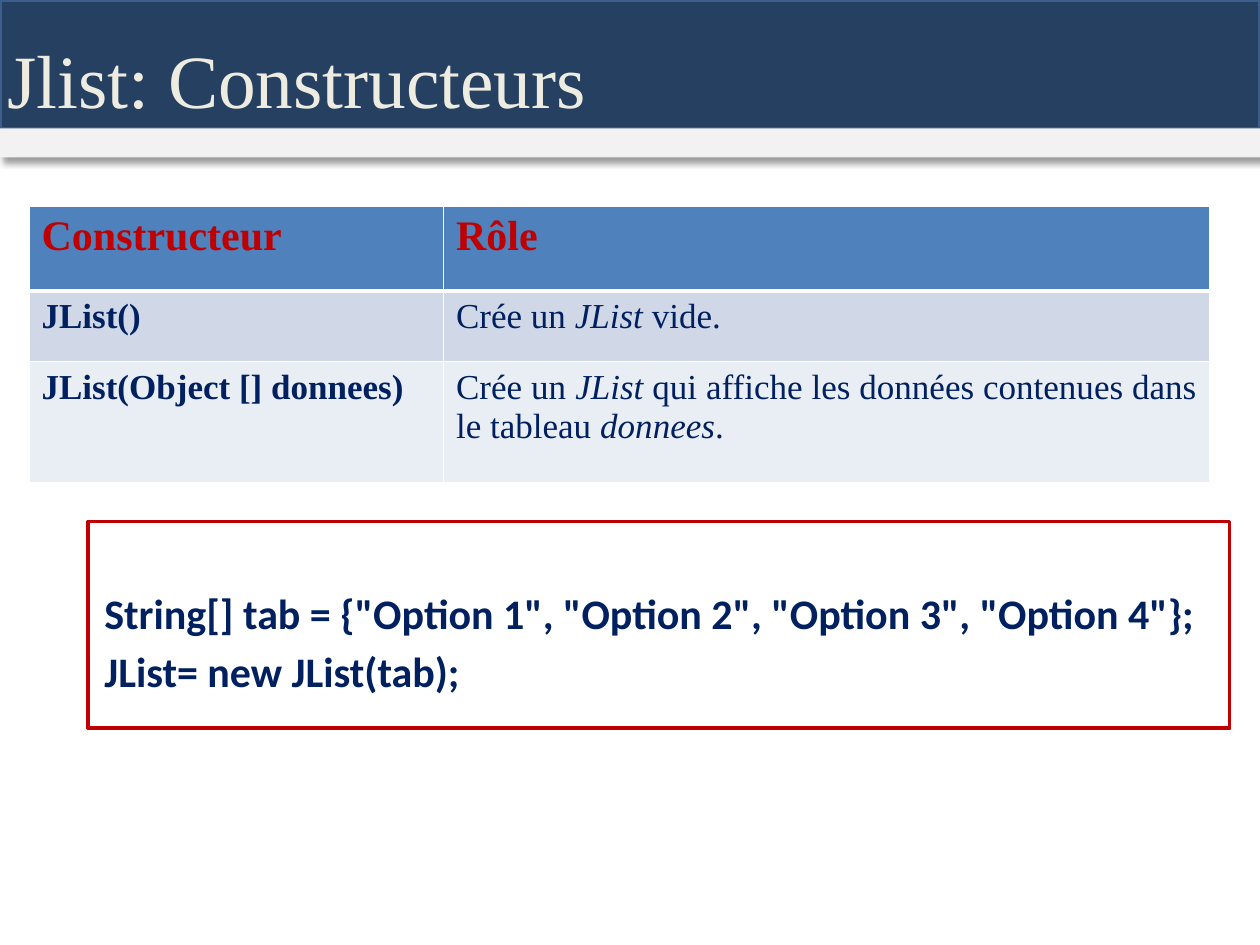
from lxml import etree
from pptx import Presentation
from pptx.dml.color import RGBColor
from pptx.enum.shapes import MSO_SHAPE
from pptx.enum.text import MSO_ANCHOR, PP_ALIGN
from pptx.oxml.ns import qn
from pptx.util import Inches, Pt

RECT = MSO_SHAPE.RECTANGLE
TOP = MSO_ANCHOR.TOP
LEFT, JUST = PP_ALIGN.LEFT, PP_ALIGN.JUSTIFY

THEME = {
    "band": "254061", "edge": "3A5F8C", "strip": "F2F2F2", "frame": "C00000",
    "rule": "FFFFFF", "shade": "000000",
    "rows": ["4F81BD", "D0D8E8", "E9EDF4"],
    "title": ("EEECE1", {"name": "Times New Roman", "size": Pt(43), "bold": False}),
    "head": ("C00000", {"name": "Times New Roman", "size": Pt(24), "bold": True}),
    "name": ("002060", {"name": "Times New Roman", "size": Pt(20), "bold": True}),
    "role": ("002060", {"name": "Times New Roman", "size": Pt(20), "bold": False}),
    "code": ("002060", {"name": "Calibri", "size": Pt(24), "bold": True}),
}

deck = Presentation()
deck.slide_width, deck.slide_height = Inches(10), Inches(7.5)
slide = deck.slides.add_slide(deck.slide_layouts[6])
COL, ROW = deck.slide_width / 100, deck.slide_height / 75


def place(x, y, w, h):
    return int(x * COL), int(y * ROW), int(w * COL), int(h * ROW)


def write(par, text, kind, align=LEFT):
    par.alignment = align
    tint, form = THEME[kind]
    for i, part in enumerate(text.split("*")):
        run = par.add_run()
        run.text = part
        run.font.color.rgb = RGBColor.from_string(tint)
        for key, val in {**form, "italic": i % 2 == 1}.items():
            setattr(run.font, key, val)


blocks = [
    ((0, 0, 100, 10.2), "band", "edge", True),
    ((0, 10.2, 100, 2.3), "strip", None, True),
    ((7, 41.4, 90.6, 16.4), None, "frame", False),
]
for box, fill, line, cast in blocks:
    shape = slide.shapes.add_shape(RECT, *place(*box))
    shape.shadow.inherit = False
    for part, tint in ((shape.fill, fill), (shape.line.fill, line)):
        if tint:
            part.solid()
            part.fore_color.rgb = RGBColor.from_string(THEME[tint])
        else:
            part.background()
    if line:
        shape.line.width = Pt(2)
    if cast:
        list_ = shape.element.spPr.find(qn("a:effectLst"))
        drop = etree.SubElement(list_, qn("a:outerShdw"), blurRad=str(Pt(4)),
                                dist=str(Pt(3)), dir="2700000", rotWithShape="0")
        tone = etree.SubElement(drop, qn("a:srgbClr"), val=THEME["shade"])
        etree.SubElement(tone, qn("a:alpha"), val="40000")

texts = [
    ((-0.4, 3, 72.9, 7.7), "title", LEFT, ["Jlist: Constructeurs"],
     {"line_spacing": 0.9}, {}),
    ((2.3, 46.1, 95.1, 11.8), "code", JUST,
     ['String[] tab = {"Option 1", "Option 2", "Option 3", "Option 4"};',
      "JList= new JList(tab);"],
     {"space_before": Pt(4.8)},
     {"marL": str(int(8.1 * COL)), "indent": str(int(-3.1 * COL))}),
]
for box, kind, align, lines, form, dent in texts:
    frame = slide.shapes.add_textbox(*place(*box)).text_frame
    frame.word_wrap = True
    frame.vertical_anchor = TOP
    for i, line in enumerate(lines):
        par = frame.add_paragraph() if i else frame.paragraphs[0]
        write(par, line, kind, align)
        for key, val in form.items():
            setattr(par, key, val)
        for key, val in dent.items():
            par._p.get_or_add_pPr().set(key, val)

cells = [
    ("Constructeur", "Rôle"),
    ("JList()", "Crée un *JList* vide."),
    ("JList(Object [] donnees)",
     "Crée un *JList* qui affiche les données contenues dans le tableau *donnees*."),
]
wide, high = (32.9, 60.8), (6.7, 5.6, 9.6)
grid = slide.shapes.add_table(
    len(high), len(wide), *place(2.3, 16.4, sum(wide), sum(high))).table
for c, w in enumerate(wide):
    grid.columns[c].width = int(w * COL)
for r, h in enumerate(high):
    grid.rows[r].height = int(h * ROW)
    for c, text in enumerate(cells[r]):
        cell = grid.cell(r, c)
        kind = "head" if r == 0 else ("name", "role")[c]
        align = JUST if (r, c) == (2, 1) else LEFT
        write(cell.text_frame.paragraphs[0], text, kind, align)
        props = cell._tc.get_or_add_tcPr()
        for side in "LRTB":
            thick = 3 if (r, side) in ((0, "B"), (1, "T")) else 1
            edge = etree.SubElement(props, qn("a:ln" + side), w=str(Pt(thick)))
            solid = etree.SubElement(edge, qn("a:solidFill"))
            etree.SubElement(solid, qn("a:srgbClr"), val=THEME["rule"])
        cell.fill.solid()
        cell.fill.fore_color.rgb = RGBColor.from_string(THEME["rows"][r])

deck.save("out.pptx")
